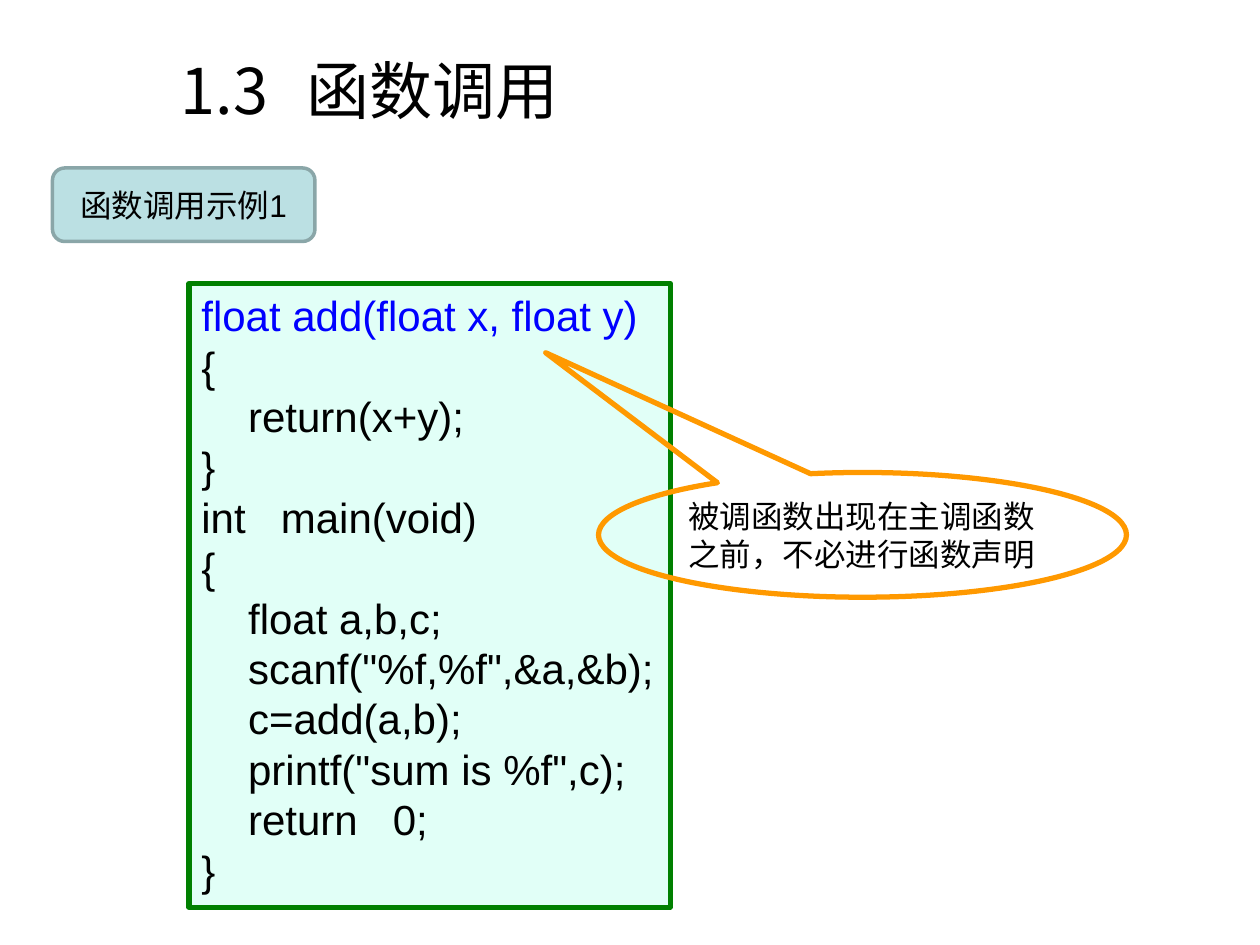
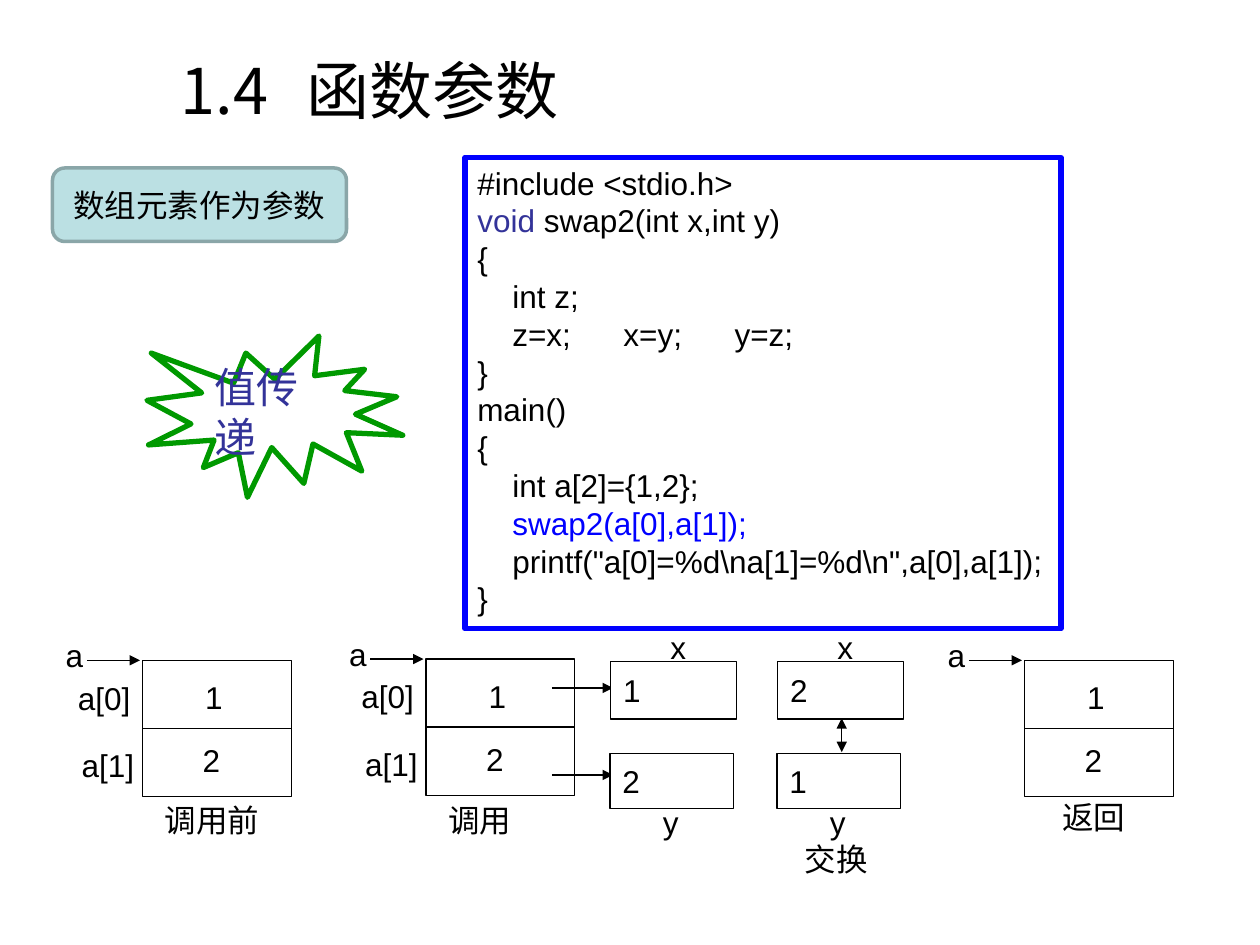
import pptx
import pptx.dml.color
import pptx.enum.shapes
import pptx.enum.text
import pptx.oxml.ns
import pptx.util
from lxml import etree

Pt = pptx.util.Pt
SHAPE = pptx.enum.shapes.MSO_SHAPE
ANCHOR = pptx.enum.text.MSO_ANCHOR
ALIGN = pptx.enum.text.PP_ALIGN
FIT = pptx.enum.text.MSO_AUTO_SIZE
qn = pptx.oxml.ns.qn

COLORS = {
    "text": "000000", "paper": "FFFFFF", "keyword": "333399", "call": "0000FF",
    "mint": "E1FFF7", "code_green": "008000", "burst_green": "009900",
    "orange": "FF9900", "tag": "BBE0E3", "tag_line": "8AA6A8",
}
TITLE_BOX = {"left": Pt(96), "top": Pt(18), "width": Pt(588), "height": Pt(66)}
TITLE_STOP = 72
BODY = {"name": "Arial", "size": Pt(18)}
LARGE = {"name": "Arial", "size": Pt(24)}
TITLE = {"name": "Noto Sans CJK SC", "size": Pt(36)}

# Code: (tab stops, text runs with their colours)
ADD_CODE = [
    ((), [("float add(float x, float y)", "call")]),
    ((), [("{", "text")]),
    ((26.7,), [("\treturn(x+y);", "text")]),
    ((), [("}", "text")]),
    ((45.4,), [("int\tmain(void)", "text")]),
    ((), [("{", "text")]),
    ((26.7,), [("\tfloat a,b,c;", "text")]),
    ((26.7,), [("\t" 'scanf("%f,%f",&a,&b);', "text")]),
    ((26.7,), [("\tc=add(a,b);", "text")]),
    ((26.7,), [("\t" 'printf("sum is %f",c);', "text")]),
    ((26.7, 109.4), [("\treturn\t0;", "text")]),
    ((), [("}", "text")]),
]
SWAP_CODE = [
    ((), [("#include <stdio.h>", "text")]),
    ((), [("void", "keyword"), (" swap2(int x,int y)", "text")]),
    ((), [("{", "text")]),
    ((20,), [("\tint z;", "text")]),
    ((20, 83.5, 147), [("\tz=x;\tx=y;\ty=z;", "text")]),
    ((), [("}", "text")]),
    ((), [("main()", "text")]),
    ((), [("{", "text")]),
    ((20,), [("\tint a[2]={1,2};", "text")]),
    ((20,), [("\tswap2(a[0],a[1]);", "call")]),
    ((20,), [("\t" r'printf("a[0]=%d\na[1]=%d\n",a[0],a[1]);', "text")]),
    ((), [("}", "text")]),
]


def rgb(name):
    return pptx.dml.color.RGBColor.from_string(COLORS[name])


def plain(text, color="text"):
    return [((), [(line, color)]) for line in text.split("\n")]


def write(tf, lines, fmt=BODY, align=ALIGN.LEFT, **frame):
    """Fill a text frame with lines of coloured runs."""
    for key, value in frame.items():
        setattr(tf, key, value)
    for i, (stops, runs) in enumerate(lines):
        p = tf.paragraphs[0] if i == 0 else tf.add_paragraph()
        p.alignment = align
        if stops:
            tabs = etree.SubElement(p._p.get_or_add_pPr(), qn("a:tabLst"))
            for stop in stops:
                etree.SubElement(tabs, qn("a:tab"), pos=str(int(Pt(stop))), algn="l")
        for text, color in runs:
            r = p.add_run()
            r.text = text
            for key, value in fmt.items():
                setattr(r.font, key, value)
            r.font.color.rgb = rgb(color)


def box(s, kind, left, top, width, height, line="text", weight=0.75, fill="paper"):
    sp = s.shapes.add_shape(kind, Pt(left), Pt(top), Pt(width), Pt(height))
    sp.shadow.inherit = False
    if fill:
        sp.fill.solid()
        sp.fill.fore_color.rgb = rgb(fill)
    else:
        sp.fill.background()
    sp.line.color.rgb = rgb(line)
    sp.line.width = Pt(weight)
    return sp


def label(s, text, left, top, width=24.5, anchor=ANCHOR.TOP):
    sp = s.shapes.add_textbox(Pt(left), Pt(top), Pt(width), Pt(31))
    write(sp.text_frame, plain(text), word_wrap=False, vertical_anchor=anchor,
          auto_size=FIT.SHAPE_TO_FIT_TEXT)


def line(s, x1, y1, x2, y2, *arrowheads):
    """Draw a thin line; arrowheads may name headEnd and tailEnd, in that order."""
    sp = s.shapes.add_connector(pptx.enum.shapes.MSO_CONNECTOR.STRAIGHT,
                                Pt(x1), Pt(y1), Pt(x2), Pt(y2))
    sp.line.color.rgb = rgb("text")
    sp.line.width = Pt(0.75)
    for end in arrowheads:
        etree.SubElement(sp.line._get_or_add_ln(), qn("a:" + end), type="triangle")
    etree.SubElement(sp._element.spPr, qn("a:effectLst"))


def titled_slide(prs, title):
    s = prs.slides.add_slide(prs.slide_layouts[5])
    sp = s.shapes.title
    for key, value in TITLE_BOX.items():
        setattr(sp, key, value)
    write(sp.text_frame, [((TITLE_STOP,), [(title, "text")])], TITLE,
          vertical_anchor=ANCHOR.MIDDLE, auto_size=FIT.NONE)
    return s


def topic_tag(s, text, width):
    sp = box(s, SHAPE.ROUNDED_RECTANGLE, 30, 96, width, 42, "tag_line", 2, "tag")
    write(sp.text_frame, plain(text), align=ALIGN.CENTER, word_wrap=True,
          vertical_anchor=ANCHOR.MIDDLE)


def code_box(s, lines, area, border, fill, fmt):
    sp = box(s, SHAPE.RECTANGLE, *area, border, 3, fill)
    write(sp.text_frame, lines, fmt, word_wrap=False, vertical_anchor=ANCHOR.TOP,
          auto_size=FIT.SHAPE_TO_FIT_TEXT)


def array_diagram(s, left, top, caption, caption_at, caption_width, named=True):
    """Draw the two cells of array a with its pointer and caption."""
    box(s, SHAPE.RECTANGLE, left, top, 85, 77.8)
    line(s, left, top + 38.9, left + 85, top + 38.9)
    label(s, "1", left + 28.8, top + 6.5)
    label(s, "2", left + 27.4, top + 42.5)
    label(s, "a", left - 51, top - 17.3, 23)
    line(s, left - 31.7, top, left - 1.4, top, "tailEnd")
    label(s, caption, left + caption_at[0], top + caption_at[1], caption_width)
    if named:
        label(s, "a[0]", left - 44, top + 5.8, 46.8, ANCHOR.MIDDLE)
        label(s, "a[1]", left - 41.8, top + 44.3, 46.8, ANCHOR.MIDDLE)


def variable_pair(s, left, x_value, y_value):
    """Draw parameter x above parameter y."""
    cells = ((x_value, left, 378, 72, 33), (y_value, left - 0.5, 430.5, 70.6, 31.7))
    for value, *area in cells:
        sp = box(s, SHAPE.RECTANGLE, *area)
        write(sp.text_frame, plain(value), word_wrap=True,
              vertical_anchor=ANCHOR.MIDDLE)
    label(s, "x", left + 27, 354.2, anchor=ANCHOR.MIDDLE)
    label(s, "y", left + 22.7, 454.3, anchor=ANCHOR.MIDDLE)


def call_slide(prs):
    s = titled_slide(prs, "1.3\t函数调用")
    code_box(s, ADD_CODE, (108, 162, 275, 356.4), "code_green", "mint", LARGE)

    # Remark pointing at the function header
    sp = box(s, SHAPE.OVAL_CALLOUT, 342, 270, 301.7, 71.3, "orange", 3, None)
    sp.adjustments[0], sp.adjustments[1] = -0.6, -1.46
    write(sp.text_frame, plain("被调函数出现在主调函数\n之前，不必进行函数声明"),
          word_wrap=False, vertical_anchor=ANCHOR.MIDDLE)
    topic_tag(s, "函数调用示例1", 150)


def parameter_slide(prs):
    s = titled_slide(prs, "1.4\t函数参数")
    code_box(s, SWAP_CODE, (265.7, 90, 340.6, 269.3), "call", "paper", BODY)

    # Burst naming the way of passing
    sp = box(s, SHAPE.EXPLOSION1, 84, 192, 146.2, 92.2, "burst_green", 3)
    write(sp.text_frame, plain("值传递", "keyword"), LARGE, word_wrap=True,
          vertical_anchor=ANCHOR.MIDDLE)

    # Before the call
    array_diagram(s, 81.4, 377.3, "调用前", (5.8, 77), 74)

    # The call copies both elements
    array_diagram(s, 243.4, 376.6, "调用", (5.8, 77.5), 54.7)
    for y in (393.1, 442.8):
        line(s, 315.4, y, 350.3, y, "tailEnd")
    variable_pair(s, 349, "1", "2")

    # The copies are swapped
    variable_pair(s, 444.5, "2", "1")
    line(s, 481, 410.4, 481, 429.8, "headEnd", "tailEnd")
    label(s, "交换", 452.9, 475.2, 54.7, ANCHOR.MIDDLE)

    # After the return
    array_diagram(s, 585.4, 377.3, "返回", (14.4, 75), 54.7, named=False)
    topic_tag(s, "数组元素作为参数", 168)


def main():
    prs = pptx.Presentation()
    prs.slide_width, prs.slide_height = Pt(720), Pt(540)
    call_slide(prs)
    parameter_slide(prs)
    prs.save("out.pptx")


if __name__ == "__main__":
    main()
